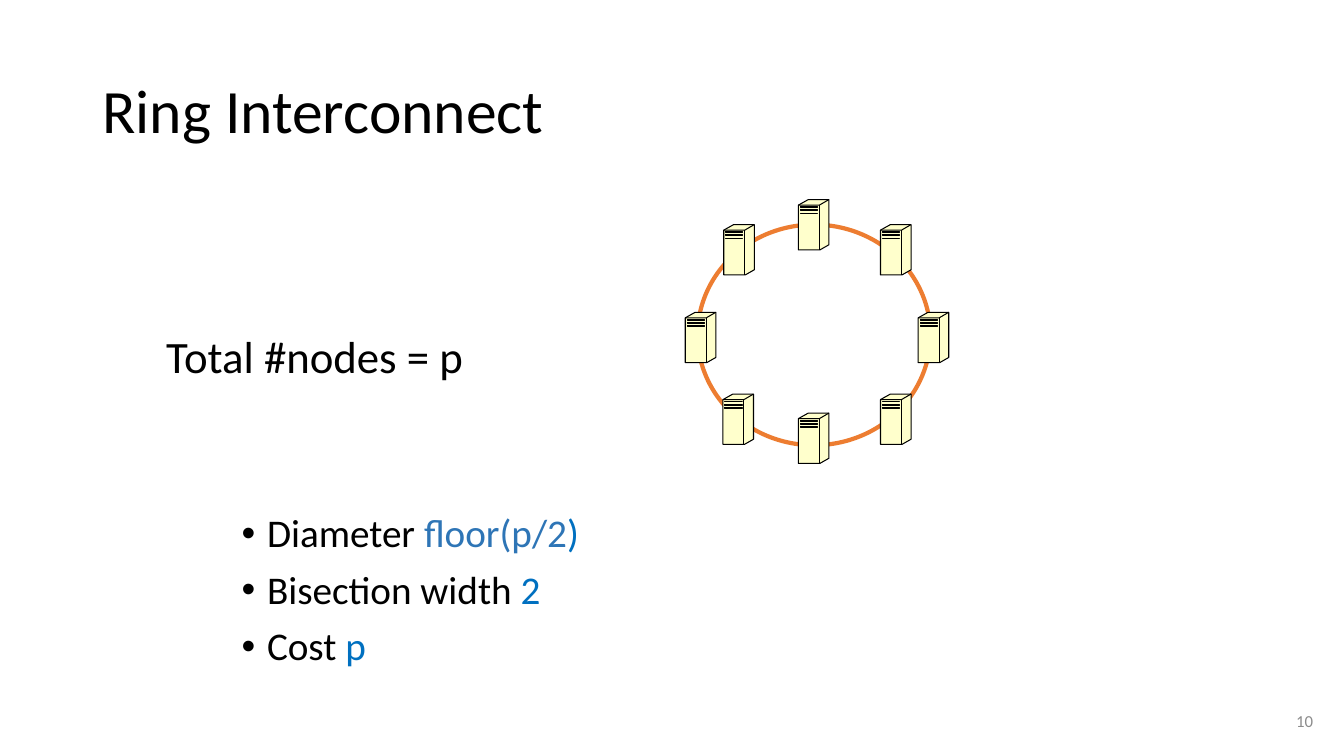
from dataclasses import dataclass, field
from typing import NamedTuple

from lxml.etree import SubElement
from pptx import Presentation
from pptx.dml.color import RGBColor as Rgb
from pptx.enum.shapes import MSO_SHAPE as Preset
from pptx.enum.text import MSO_ANCHOR as Anchor, MSO_AUTO_SIZE as AutoSize, PP_ALIGN as Align
from pptx.oxml.ns import qn
from pptx.util import Cm, Pt


@dataclass(frozen=True)
class Theme:
    font: str = "Calibri"
    ink: Rgb = Rgb(0x00, 0x00, 0x00)
    formula: Rgb = Rgb(0x2E, 0x75, 0xB6)
    answer: Rgb = Rgb(0x00, 0x70, 0xC0)
    page_grey: Rgb = Rgb(0x8C, 0x8C, 0x8C)
    ring: Rgb = Rgb(0xED, 0x7D, 0x31)
    server: Rgb = Rgb(0xFF, 0xFF, 0xCC)
    title_size: Pt = Pt(44)
    node_size: Pt = Pt(32)
    body_size: Pt = Pt(28)
    page_size: Pt = Pt(12)
    ring_line: Pt = Pt(3)
    server_line: Pt = Pt(0.75)


THEME = Theme()


class Box(NamedTuple):
    left: float
    top: float
    width: float
    height: float


class Part(NamedTuple):
    text: str
    color: Rgb = THEME.ink


@dataclass(frozen=True)
class TextBlock:
    box: Box
    size: Pt
    lines: list[list[Part]]
    frame: dict = field(default_factory=dict)
    paragraph: dict = field(default_factory=dict)
    bulleted: bool = False


class Server(NamedTuple):
    left: float
    top: float


Points = list[tuple[float, float]]

TEXT_BLOCKS = [
    TextBlock(Box(2.33, 1.02, 29.21, 3.68), THEME.title_size,
              [[Part("Ring Interconnect")]],
              {"vertical_anchor": Anchor.MIDDLE}, {"line_spacing": 0.9}),
    TextBlock(Box(5.84, 12.83, 24.77, 4.39), THEME.body_size,
              [[Part("Diameter "), Part("floor(p/2", THEME.formula), Part(")", THEME.answer)],
               [Part("Bisection width "), Part("2", THEME.answer)],
               [Part("Cost "), Part("p", THEME.answer)]],
              paragraph={"line_spacing": 0.9, "space_before": Pt(10)}, bulleted=True),
    TextBlock(Box(23.92, 17.65, 9.42, 1.02), THEME.page_size,
              [[Part("10", THEME.page_grey)]],
              {"vertical_anchor": Anchor.MIDDLE}, {"alignment": Align.RIGHT}),
    TextBlock(Box(3.94, 7.49, 8.08, 2.31), THEME.node_size,
              [[Part("Total #nodes = p")]],
              {"word_wrap": False, "auto_size": AutoSize.SHAPE_TO_FIT_TEXT},
              {"line_spacing": 1.5}),
]

RING = Box(17.58, 5.66, 5.87, 5.56)
SERVERS = [
    Server(20.12, 10.41), Server(18.22, 9.93), Server(22.19, 9.93), Server(17.27, 7.87),
    Server(23.14, 7.87), Server(18.24, 5.66), Server(20.12, 5.03), Server(22.19, 5.66),
]

# Server drawing, measured from its top left corner
CASE: Points = [(0, 0.14), (0.25, 0), (0.77, 0), (0.77, 1.14), (0.54, 1.27), (0, 1.27), (0, 0.14)]
FRONT_EDGES: list[Points] = [
    [(0, 0.14), (0.53, 0.14), (0.77, 0)],
    [(0.53, 0.14), (0.53, 1.27)],
]
SLOTS: list[Points] = [
    [(0.05, y), (0.48, y), (0.48, y + 0.02), (0.05, y + 0.02), (0.05, y)]
    for y in (0.18, 0.26, 0.34)
]


def apply(target, values: dict) -> None:
    for name, value in values.items():
        setattr(target, name, value)


def add_bullet(paragraph) -> None:
    props = paragraph._p.get_or_add_pPr()
    props.set("marL", str(Cm(0.64)))
    props.set("indent", str(-Cm(0.64)))
    SubElement(props, qn("a:buFont")).set("typeface", "Arial")
    SubElement(props, qn("a:buChar")).set("char", "•")


def add_text(slide, block: TextBlock) -> None:
    frame = slide.shapes.add_textbox(*map(Cm, block.box)).text_frame
    apply(frame, {"word_wrap": True, **block.frame})
    for index, line in enumerate(block.lines):
        paragraph = frame.add_paragraph() if index else frame.paragraphs[0]
        apply(paragraph, block.paragraph)
        if block.bulleted:
            add_bullet(paragraph)
        for part in line:
            run = paragraph.add_run()
            run.text = part.text
            apply(run.font, {"name": THEME.font, "size": block.size})
            run.font.color.rgb = part.color


def style(shape, line: Rgb, width: Pt, fill: Rgb | None = None):
    shape.shadow.inherit = False
    if fill is None:
        shape.fill.background()
    else:
        shape.fill.solid()
        shape.fill.fore_color.rgb = fill
    shape.line.color.rgb = line
    shape.line.width = width
    return shape


def add_outline(slide, server: Server, strokes: list[Points], fill: Rgb | None = None):
    paths = [[(Cm(x), Cm(y)) for x, y in stroke] for stroke in strokes]
    builder = slide.shapes.build_freeform(*paths[0][0])
    for index, (start, *rest) in enumerate(paths):
        if index:
            builder.move_to(*start)
        builder.add_line_segments(rest, close=False)
    outline = builder.convert_to_shape(Cm(server.left), Cm(server.top))
    return style(outline, THEME.ink, THEME.server_line, fill)


def add_ring(slide) -> None:
    ring = slide.shapes.add_shape(Preset.OVAL, *map(Cm, RING))
    members = [style(ring, THEME.ring, THEME.ring_line)]
    for server in SERVERS:
        members.append(add_outline(slide, server, [CASE], THEME.server))
        members.append(add_outline(slide, server, FRONT_EDGES + SLOTS))
    slide.shapes.add_group_shape(members)


def main() -> None:
    deck = Presentation()
    apply(deck, {"slide_width": Cm(33.87), "slide_height": Cm(19.05)})
    slide = deck.slides.add_slide(deck.slide_layouts[6])

    # Ring of servers
    add_ring(slide)

    # Title, properties, page number and node count
    for block in TEXT_BLOCKS:
        add_text(slide, block)

    deck.save("out.pptx")


if __name__ == "__main__":
    main()
